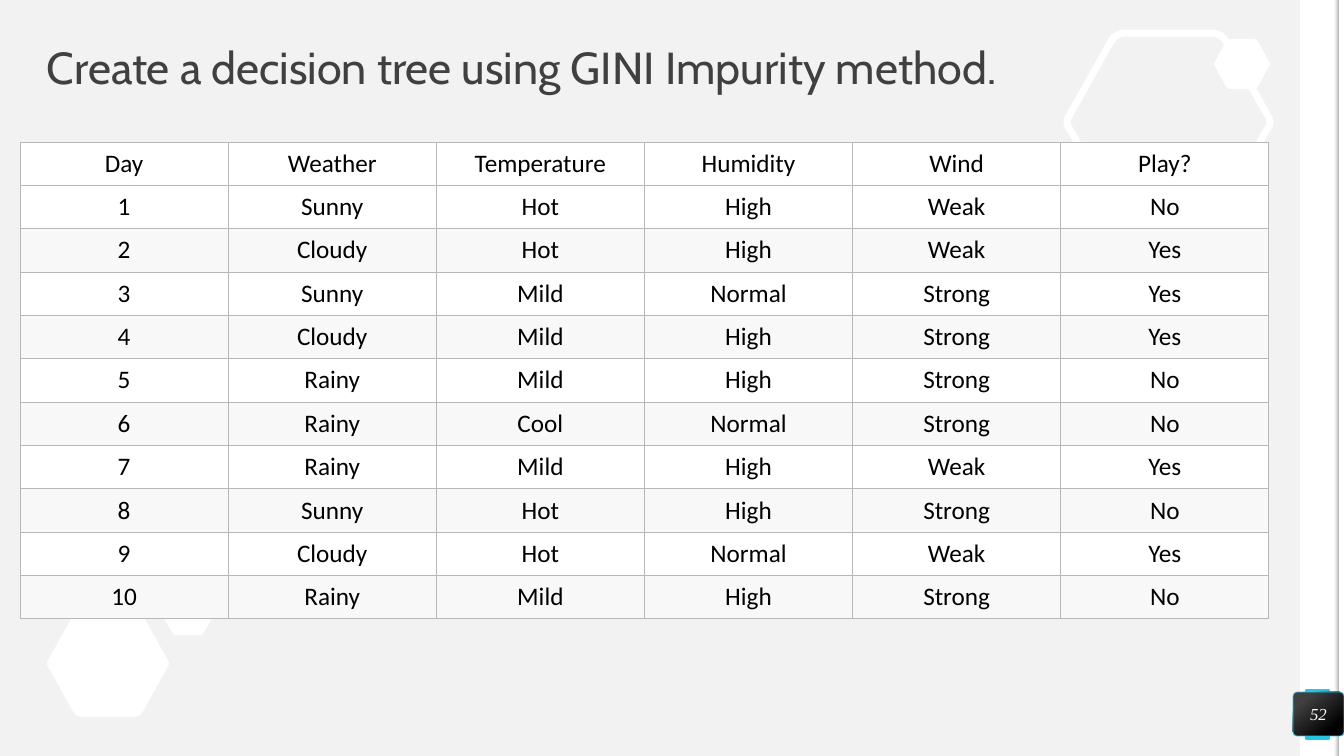
from lxml import etree
from pptx import Presentation
from pptx.dml.color import RGBColor
from pptx.enum import shapes, text
from pptx.oxml import ns
from pptx.util import Pt

SCALE = 914400 / 100.8
COLORS = {
    "bg": "F2F2F2", "white": "FFFFFF", "band": "F8F8F8", "border": "B8B8B8",
    "title": "404040", "black": "000000", "accent": "25C6E3", "shade": "A6A6A6",
}
HEADER = ["Day", "Weather", "Temperature", "Humidity", "Wind", "Play?"]
DAYS = [
    "Sunny Hot High Weak No",
    "Cloudy Hot High Weak Yes",
    "Sunny Mild Normal Strong Yes",
    "Cloudy Mild High Strong Yes",
    "Rainy Mild High Strong No",
    "Rainy Cool Normal Strong No",
    "Rainy Mild High Weak Yes",
    "Sunny Hot High Strong No",
    "Cloudy Hot Normal Weak Yes",
    "Rainy Mild High Strong No",
]
HEX_CORNERS = [
    ((0.29, 0), (0.245, 0), (0.22, 0.04)),
    ((0.016, 0.455), (-0.016, 0.5), (0.016, 0.545)),
    ((0.22, 0.96), (0.245, 1), (0.29, 1)),
]


def px(n):
    """Turn pixels into EMU."""
    return round(n * SCALE)


def rgb(name):
    """Look up a named colour."""
    return RGBColor.from_string(COLORS[name])


def write(tf, content, size, font, color, align=None, italic=None, spacing=None):
    """Put one formatted paragraph in a text frame."""
    p = tf.paragraphs[0]
    p.alignment = align
    p.line_spacing = spacing
    r = p.add_run()
    r.text = content
    r.font.size, r.font.name, r.font.italic = Pt(size), font, italic
    r.font.color.rgb = rgb(color)


def paint(sp, fill=None, line=None, width=1):
    """Set plain fill and outline, without a shadow."""
    sp.shadow.inherit = False
    if fill:
        sp.fill.solid()
        sp.fill.fore_color.rgb = rgb(fill)
    else:
        sp.fill.background()
    if line:
        sp.line.color.rgb = rgb(line)
        sp.line.width = Pt(width)
    else:
        sp.line.fill.background()


def add_box(s, box, kind=shapes.MSO_SHAPE.RECTANGLE, radius=None, **look):
    """Add a preset shape."""
    sp = s.shapes.add_shape(kind, *map(px, box))
    if radius is not None:
        sp.adjustments[0] = radius
    paint(sp, **look)
    return sp


def add_gradient(sp, stops, angle):
    """Fill a shape with a linear two-stop gradient."""
    sp.fill.gradient()
    sp.fill.gradient_angle = angle
    for stop, (position, color) in zip(sp.fill.gradient_stops, stops):
        stop.position = position
        stop.color.rgb = rgb(color)


def add_hexagon(s, box, **look):
    """Add a hexagon with softly rounded corners."""
    x, y, w, h = box
    mirrored = [[(1 - a, b) for a, b in reversed(c)] for c in reversed(HEX_CORNERS)]
    points = []
    for start, control, end in HEX_CORNERS + mirrored:
        for t in (0, 0.25, 0.5, 0.75, 1):
            fx, fy = ((1 - t) ** 2 * a + 2 * t * (1 - t) * b + t * t * c
                      for a, b, c in zip(start, control, end))
            points.append((px(x + fx * w), px(y + fy * h)))
    builder = s.shapes.build_freeform(*points[0])
    builder.add_line_segments(points[1:], close=True)
    paint(builder.convert_to_shape(), **look)


def add_borders(cell):
    """Draw a thin line on each side of a cell."""
    tc_pr = cell._tc.get_or_add_tcPr()
    for side in ("lnL", "lnR", "lnT", "lnB"):
        ln = etree.SubElement(tc_pr, ns.qn("a:" + side), w=str(Pt(0.75)))
        fill = etree.SubElement(ln, ns.qn("a:solidFill"))
        etree.SubElement(fill, ns.qn("a:srgbClr"), val=COLORS["border"])


def add_weather_table(s, box):
    """Add the table of days with white and pale rows."""
    rows = [HEADER] + [[str(n)] + day.split() for n, day in enumerate(DAYS, 1)]
    table = s.shapes.add_table(len(rows), len(HEADER), *map(px, box)).table
    table.first_row = table.horz_banding = False
    for col in table.columns:
        col.width = px(box[2]) // len(HEADER)
    for i, row in enumerate(rows):
        table.rows[i].height = px(box[3]) // len(rows)
        for j, value in enumerate(row):
            cell = table.cell(i, j)
            cell.margin_left = cell.margin_right = px(14)
            cell.margin_top = cell.margin_bottom = px(6)
            cell.vertical_anchor = text.MSO_ANCHOR.MIDDLE
            add_borders(cell)
            cell.fill.solid()
            cell.fill.fore_color.rgb = rgb("band" if i and i % 2 == 0 else "white")
            write(cell.text_frame, value, 18, "Calibri", "black",
                  align=text.PP_ALIGN.CENTER)


def set_frame(tf):
    """Wrap and centre a text frame vertically, without insets."""
    tf.word_wrap = True
    tf.vertical_anchor = text.MSO_ANCHOR.MIDDLE
    tf.margin_left = tf.margin_right = tf.margin_top = tf.margin_bottom = 0


def add_title(s, content, box):
    """Add the slide title."""
    tf = s.shapes.add_textbox(*map(px, box)).text_frame
    set_frame(tf)
    write(tf, content, 32, "Cabin", "title", spacing=0.9)


def add_side_strip(s):
    """Add the white strip and its shaded edge on the right."""
    add_box(s, (1300, 0, 39, 756), fill="white")
    add_box(s, (1305, 689, 25, 51), shapes.MSO_SHAPE.ROUNDED_RECTANGLE, 0.07,
            fill="accent")
    add_box(s, (1339, 0, 5, 756), fill="white")
    edge = add_box(s, (1334, 0, 5, 756))
    add_gradient(edge, [(0, "bg"), (1, "shade")], 0)
    clear = edge._element.spPr.find(".//" + ns.qn("a:srgbClr"))
    etree.SubElement(clear, ns.qn("a:alpha"), val="0")


def add_page_badge(s, number, box):
    """Add the dark badge with the page number."""
    sp = add_box(s, box, shapes.MSO_SHAPE.ROUNDED_RECTANGLE, 0.1,
                 line="accent", width=0.5)
    add_gradient(sp, [(0.2, "title"), (0.82, "black")], 310)
    set_frame(sp.text_frame)
    write(sp.text_frame, number, 12, "Times New Roman", "white",
          align=text.PP_ALIGN.CENTER, italic=True)


def main():
    """Build and save the slide."""
    prs = Presentation()
    prs.slide_width, prs.slide_height = px(1344), px(756)
    s = prs.slides.add_slide(prs.slide_layouts[6])
    s.background.fill.solid()
    s.background.fill.fore_color.rgb = rgb("bg")
    add_side_strip(s)
    add_hexagon(s, (47, 610, 122, 107), fill="white")
    add_hexagon(s, (1067, 33, 203, 178), line="white", width=5)
    for x, y in ((160, 585), (1214, 39)):
        add_hexagon(s, (x, y, 56, 50), fill="white")
    add_title(s, "Create a decision tree using GINI Impurity method.",
              (47, 47, 1249, 47))
    add_weather_table(s, (20, 142, 1249, 477))
    add_page_badge(s, "52", (1293, 692, 51, 44))
    prs.save("out.pptx")


if __name__ == "__main__":
    main()
